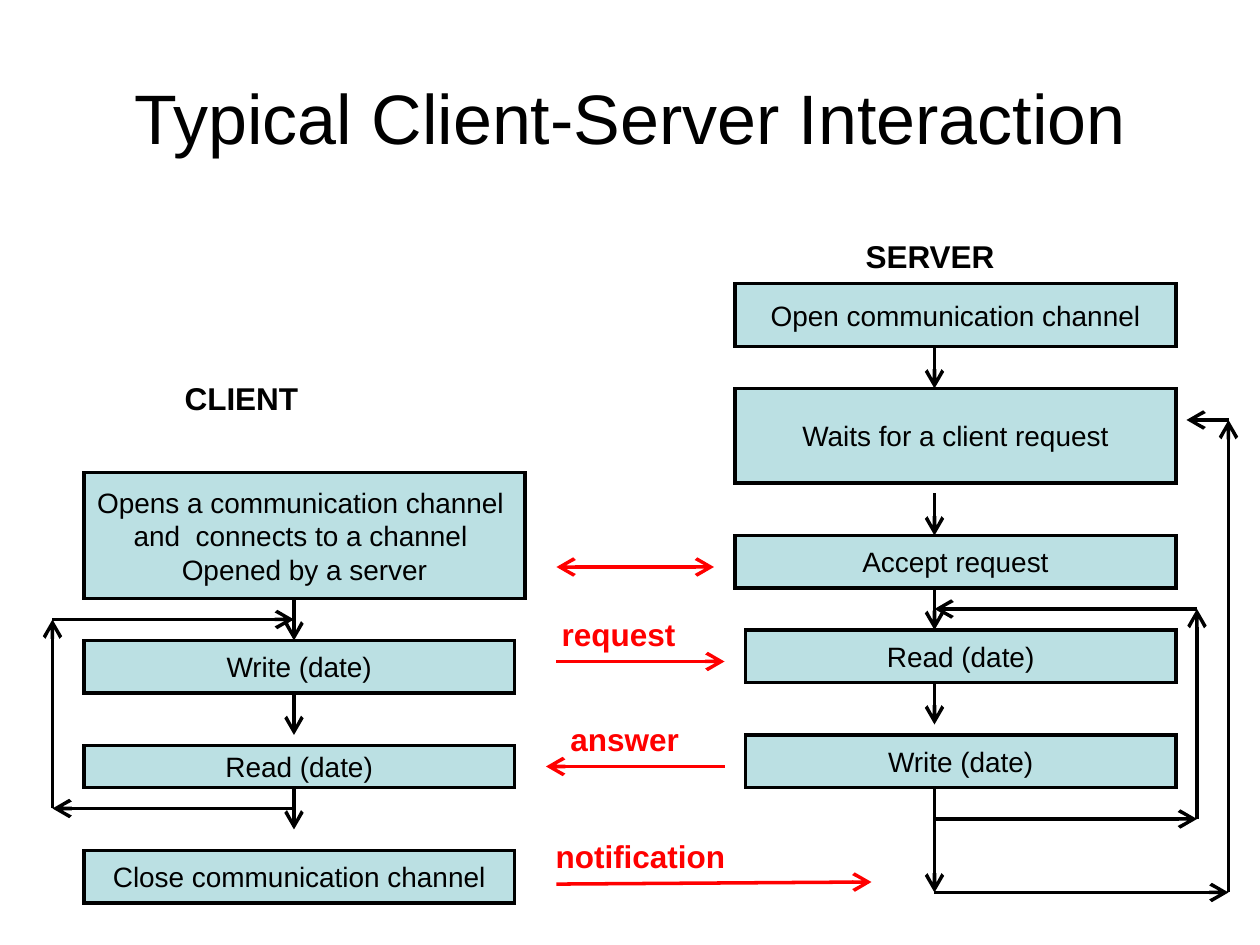
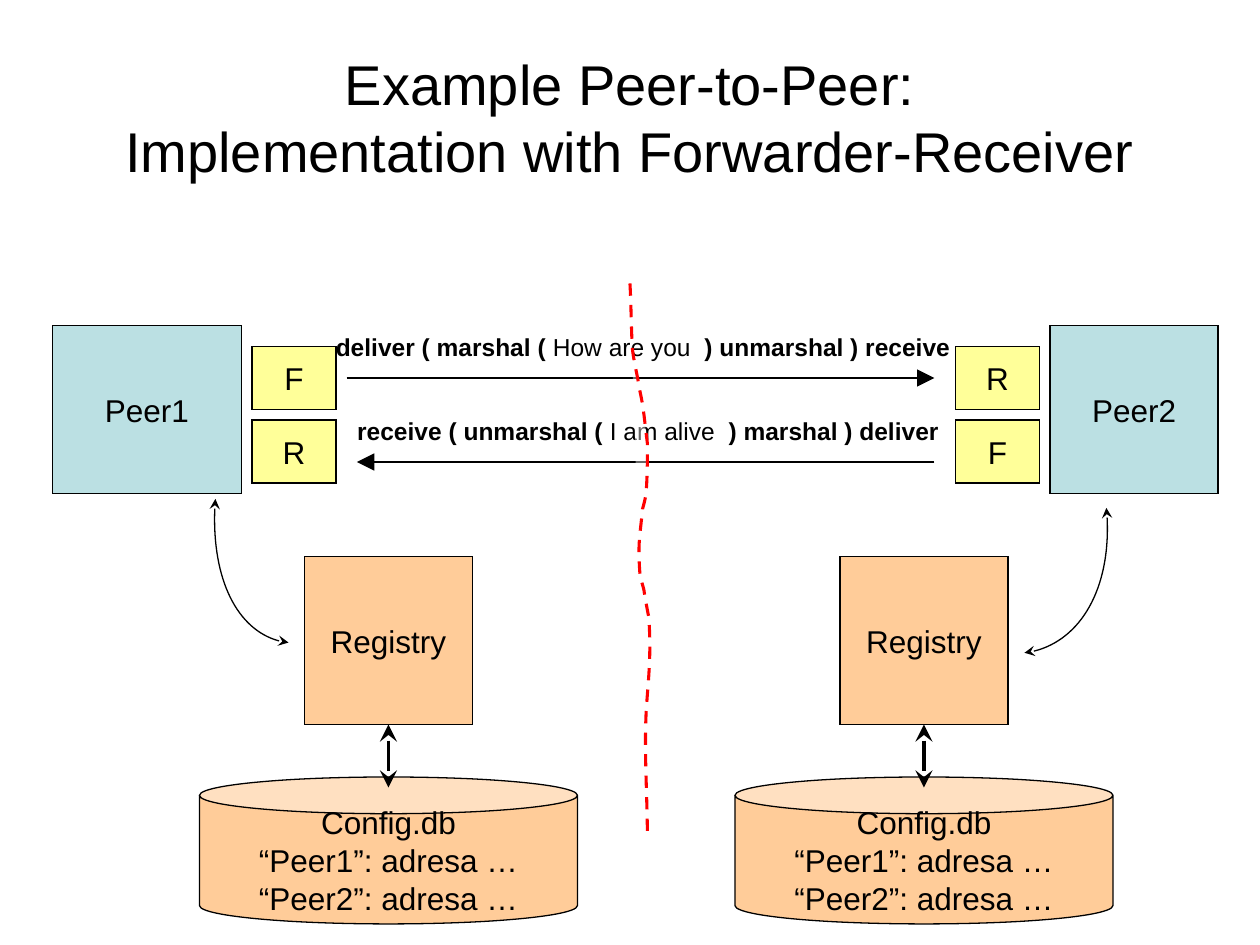
from itertools import pairwise

from lxml.etree import SubElement
from pptx import Presentation
from pptx.dml.color import RGBColor
from pptx.enum.dml import MSO_LINE
from pptx.enum.shapes import MSO_CONNECTOR, MSO_SHAPE
from pptx.enum.text import MSO_ANCHOR, MSO_AUTO_SIZE, PP_ALIGN
from pptx.oxml.ns import qn
from pptx.util import Pt

FONT = "Arial"
BLACK, RED, WHITE = "000000", "FF0000", "FFFFFF"
BLUE, ORANGE, YELLOW = "BBE0E3", "FFCC99", "FFFF99"
rgb = RGBColor.from_string


def style_line(shape, width, color=BLACK, head=None, tail=None, dash=None, tip="lg"):
    """Format an outline with sharp corners, optional arrowheads and no shadow."""
    shape.line.color.rgb = rgb(color)
    shape.line.width = Pt(width)
    if dash:
        shape.line.dash_style = dash
    properties = shape._element.spPr
    outline = properties.find(qn("a:ln"))
    SubElement(outline, qn("a:miter"), lim="800000")
    for end, arrow in (("a:headEnd", head), ("a:tailEnd", tail)):
        if arrow:
            SubElement(outline, qn(end), type=arrow, w=tip, len=tip)
    SubElement(properties, qn("a:effectLst"))


def add_block(slide, bounds, text, size, fill=None, border=0.75,
              color=BLACK, bold=False, kind=MSO_SHAPE.RECTANGLE):
    """Add a filled shape with centred text, or a bare label if fill is None."""
    bounds = [Pt(value) for value in bounds]
    if fill:
        block = slide.shapes.add_shape(kind, *bounds)
        block.fill.solid()
        block.fill.fore_color.rgb = rgb(fill)
        style_line(block, border)
    else:
        block = slide.shapes.add_textbox(*bounds)
        block.text_frame.auto_size = MSO_AUTO_SIZE.SHAPE_TO_FIT_TEXT
    frame = block.text_frame
    frame.word_wrap = False
    frame.vertical_anchor = MSO_ANCHOR.MIDDLE if fill else MSO_ANCHOR.TOP
    frame.text = text
    for paragraph in frame.paragraphs:
        paragraph.alignment = PP_ALIGN.CENTER
        paragraph.font.name = FONT
        paragraph.font.size = Pt(size)
        paragraph.font.bold = bold
        paragraph.font.color.rgb = rgb(color)
    return block


presentation = Presentation()
presentation.slide_width, presentation.slide_height = Pt(720), Pt(540)

slides = []
for heading, size in [
    ("Typical Client-Server Interaction", 40),
    ("Example Peer-to-Peer:\vImplementation with Forwarder-Receiver", 32),
]:
    slide = presentation.slides.add_slide(presentation.slide_layouts[5])
    title = slide.shapes.title
    title.left, title.top, title.width, title.height = Pt(36), Pt(21.6), Pt(648), Pt(90)
    title.text_frame.text = heading
    title.text_frame.auto_size = MSO_AUTO_SIZE.NONE
    title.text_frame.vertical_anchor = MSO_ANCHOR.MIDDLE
    paragraph = title.text_frame.paragraphs[0]
    paragraph.alignment = PP_ALIGN.CENTER
    paragraph.font.name = FONT
    paragraph.font.size = Pt(size)
    paragraph.font.color.rgb = rgb(BLACK)
    slides.append(slide)
interaction, peers = slides

# Client-server interaction: steps
for left, top, width, height, step in [
    (420, 162, 252, 36, "Open communication channel"),
    (420, 222, 252, 54, "Waits for a client request"),
    (420, 306, 252, 30, "Accept request"),
    (426, 360, 246, 30, "Read (date)"),
    (426, 420, 246, 30, "Write (date)"),
    (48, 270, 252, 72, "Opens a communication channel \n"
                       "and  connects to a channel \nOpened by a server"),
    (48, 366, 246, 30, "Write (date)"),
    (48, 426, 246, 24, "Read (date)"),
    (48, 486, 246, 30, "Close communication channel"),
]:
    add_block(interaction, (left, top, width, height), step, 16, BLUE, 2)

for left, top, width, label, color in [
    (98, 213, 80, "CLIENT", BLACK),
    (487, 132, 89, "SERVER", BLACK),
    (313.5, 348, 80, "request", RED),
    (318.5, 408, 77, "answer", RED),
    (310, 475, 112, "notification", RED),
]:
    add_block(interaction, (left, top, width, 29), label, 18, color=color, bold=True)

# Client-server interaction: each route is a chain of arrows
CLIENT_X, SERVER_X = 168, 534
routes = [
    ([(SERVER_X, 510), (702, 510), (702, 240), (678, 240)], BLACK, None),
    ([(SERVER_X, 468), (684, 468), (684, 348), (SERVER_X, 348)], BLACK, None),
    ([(CLIENT_X, 462), (30, 462), (30, 354), (CLIENT_X, 354)], BLACK, None),
    ([(318, 324), (408, 324)], RED, "arrow"),
    ([(318, 378), (414, 378)], RED, None),
    ([(414, 438), (312, 438)], RED, None),
    ([(318, 505.2), (498, 504)], RED, None),
]
for x, start, length in [
    (SERVER_X, 198, 24), (SERVER_X, 282, 24), (SERVER_X, 336, 24),
    (SERVER_X, 390, 24), (SERVER_X, 450, 60),
    (CLIENT_X, 342, 24), (CLIENT_X, 396, 24), (CLIENT_X, 450, 24),
]:
    routes.append(([(x, start), (x, start + length)], BLACK, None))

for corners, color, head in routes:
    for start, end in pairwise(corners):
        arrow = interaction.shapes.add_connector(
            MSO_CONNECTOR.STRAIGHT, *[Pt(value) for value in start + end])
        style_line(arrow, 2, color, head, "arrow")

# Peer-to-peer: peers with their forwarders and receivers
for left, width, peer, ports_left, ports in [
    (30, 108, "Peer1", 144, "FR"),
    (600, 96, "Peer2", 546, "RF"),
]:
    add_block(peers, (left, 186, width, 96), peer, 18, BLUE)
    for row, port in enumerate(ports):
        add_block(peers, (ports_left, 198 + 42 * row, 48, 36), port, 18, YELLOW)

# Peer-to-peer: registries and their databases
for center in (222, 528):
    registry = add_block(peers, (center - 48, 318, 96, 96), "Registry", 18, ORANGE)
    add_block(peers, (center - 108, 444, 216, 84),
              "Config.db\n“Peer1”: adresa …\n“Peer2”: adresa …",
              18, ORANGE, kind=MSO_SHAPE.CAN)
    lookup = peers.shapes.add_connector(
        MSO_CONNECTOR.STRAIGHT, Pt(center), Pt(414), Pt(center), Pt(450))
    lookup.begin_connect(registry, 2)
    style_line(lookup, 1.75, head="stealth", tail="stealth")

# Peer-to-peer: messages
for y, start, end, left, width, call, message, reply in [
    (216, 198, 534, 184.8, 367, "deliver ( marshal (", " How are you  ",
     ") unmarshal ) receive"),
    (264, 534, 204, 197, 348, "receive ( unmarshal (", " I am alive  ",
     ") marshal ) deliver"),
]:
    arrow = peers.shapes.add_connector(
        MSO_CONNECTOR.STRAIGHT, Pt(start), Pt(y), Pt(end), Pt(y))
    style_line(arrow, 1.25, tail="triangle")
    label = add_block(peers, (left, y - 30, width, 24.5), call, 14, bold=True)
    paragraph = label.text_frame.paragraphs[0]
    paragraph.alignment = PP_ALIGN.LEFT
    for words, bold in ((message, False), (reply, True)):
        run = paragraph.add_run()
        run.text = words
        run.font.bold = bold

# Peer-to-peer: curves, each a start point followed by Bezier triples
peer1_link = [(123.1, 285.1), (119.5, 328.3), (138.2, 365), (164.9, 367.2)]
peer2_link = [(632.2, 290.2), (636.5, 333.4), (614.9, 370.1), (585.4, 373)]
divider = [
    (360, 162), (360.7, 174), (360.7, 187), (361.4, 199.4),
    (362.2, 206.6), (365, 218), (365.8, 224),
    (368, 233.3), (368.6, 243.4), (370, 253.4),
    (370, 262), (370, 270.7), (369.4, 279.4),
    (369.4, 283.7), (367.2, 290.9), (367.2, 290.9),
    (365.8, 306.7), (364.3, 309.6), (365.8, 329),
    (366.5, 332), (367.2, 334), (368, 337),
    (368.6, 342), (370.8, 352.8), (370.8, 352.8),
    (372.2, 374.4), (370.8, 385.2), (369.4, 404.6),
    (368, 429.8), (370, 454.3), (370, 480),
]
for controls in (peer1_link, peer2_link, divider):
    start, *handles = [(Pt(x), Pt(y)) for x, y in controls]
    builder = peers.shapes.build_freeform(*start)
    builder.add_line_segments(handles, close=False)
    curve = builder.convert_to_shape()
    # Join every three straight segments into one Bezier segment
    trace = curve._element.spPr.find(".//" + qn("a:path"))
    segments = trace.findall(qn("a:lnTo"))
    for first in range(0, len(segments), 3):
        bezier = SubElement(trace, qn("a:cubicBezTo"))
        for segment in segments[first:first + 3]:
            bezier.append(segment[0])
            trace.remove(segment)
    if controls is divider:
        curve.fill.solid()
        curve.fill.fore_color.rgb = rgb(WHITE)
        tint = curve._element.spPr.find(qn("a:solidFill")).find(qn("a:srgbClr"))
        SubElement(tint, qn("a:alpha"), val="40000")
        style_line(curve, 1.75, RED, dash=MSO_LINE.DASH)
    else:
        curve.fill.background()
        style_line(curve, 0.75, head="stealth", tail="stealth", tip="med")

presentation.save("out.pptx")
